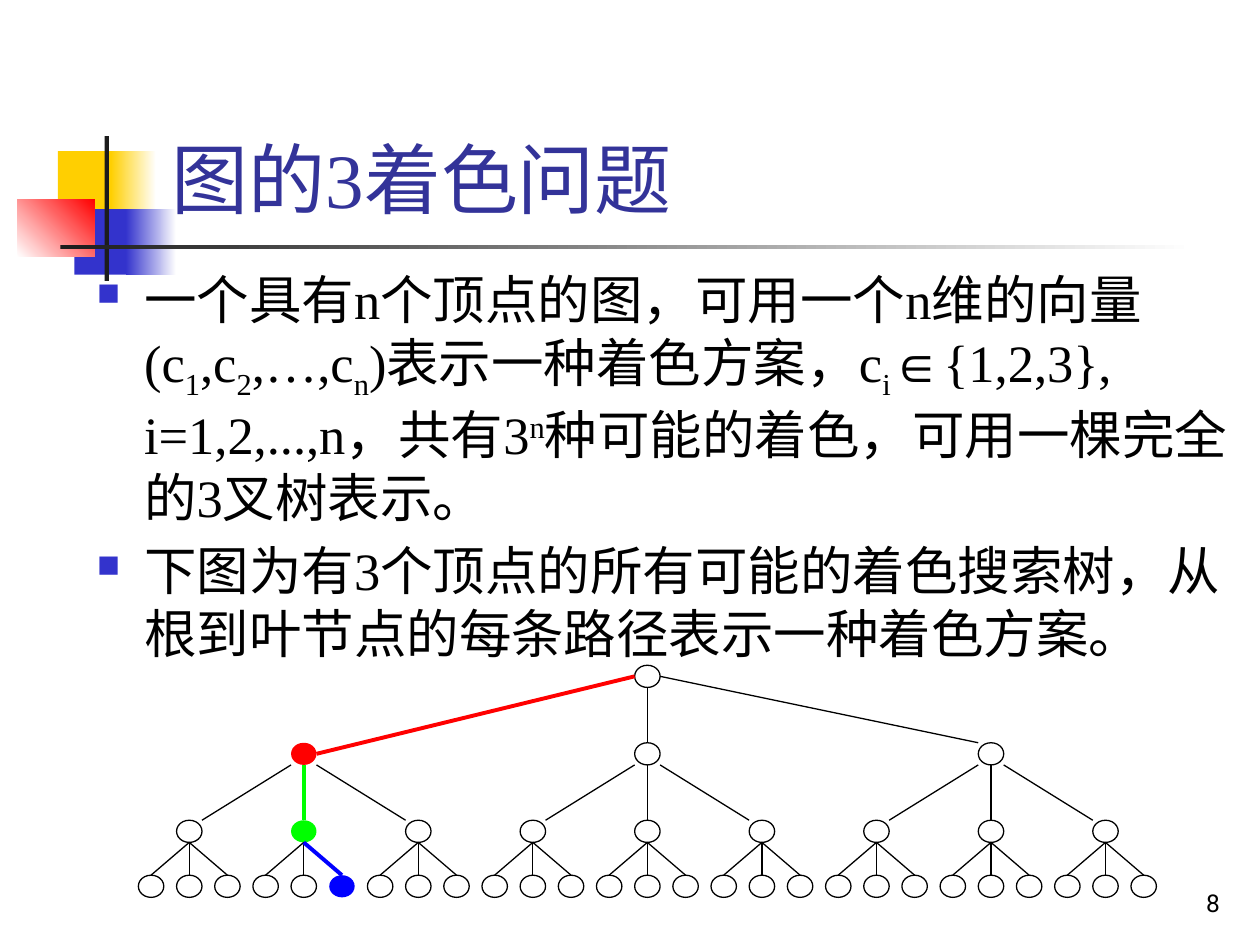
from dataclasses import dataclass
from itertools import product

from lxml.etree import SubElement
from pptx import Presentation
from pptx.dml.color import RGBColor
from pptx.enum.lang import MSO_LANGUAGE_ID
from pptx.enum.shapes import MSO_CONNECTOR, MSO_SHAPE
from pptx.enum.text import MSO_ANCHOR, MSO_AUTO_SIZE, PP_ALIGN
from pptx.oxml.ns import qn
from pptx.util import Inches, Pt


@dataclass(frozen=True)
class Theme:
    black: str = "000000"
    white: str = "FFFFFF"
    bar: str = "1C1C1C"
    yellow: str = "FFCF01"
    blue: str = "3333CC"
    red: str = "FF0000"
    title: str = "333399"
    route: tuple = ("FF0000", "00FF00", "0000FF")
    font: str = "Times New Roman"
    number_font: str = "Roboto"
    title_size: int = 44
    body_size: int = 30
    number_size: int = 14
    thin: float = 0.75
    thick: float = 2.25


class SlideBuilder:
    """Places elements on a grid of 100 columns by 75 rows."""

    COLUMNS, ROWS = 100, 75

    def __init__(self, presentation, theme):
        self.theme = theme
        self.width, self.height = presentation.slide_width, presentation.slide_height
        self.slide = presentation.slides.add_slide(presentation.slide_layouts[5])

    def x(self, columns):
        return round(self.width * columns / self.COLUMNS)

    def y(self, rows):
        return round(self.height * rows / self.ROWS)

    def box(self, left, top, width, height):
        return self.x(left), self.y(top), self.x(width), self.y(height)

    def shape(self, preset, place, fill, fade=None, angle=0, line=None):
        """Add a preset shape, filled evenly or fading from fill to fade."""
        shape = self.slide.shapes.add_shape(preset, *self.box(*place))
        shape.shadow.inherit = False
        if fade:
            shape.fill.gradient()
            shape.fill.gradient_angle = angle
            for stop, color in zip(shape.fill.gradient_stops, (fill, fade)):
                stop.color.rgb = RGBColor.from_string(color)
        else:
            shape.fill.solid()
            shape.fill.fore_color.rgb = RGBColor.from_string(fill)
        if line:
            shape.line.color.rgb = RGBColor.from_string(line)
            shape.line.width = Pt(self.theme.thin)
        else:
            shape.line.fill.background()

    def line(self, start, end, color, width):
        connector = self.slide.shapes.add_connector(
            MSO_CONNECTOR.STRAIGHT, self.x(start[0]), self.y(start[1]),
            self.x(end[0]), self.y(end[1]))
        connector.line.color.rgb = RGBColor.from_string(color)
        connector.line.width = Pt(width)
        SubElement(connector._element.spPr, qn("a:effectLst"))

    def run(self, paragraph, text, size, color, font=None, baseline=0):
        run = paragraph.add_run()
        run.text = text
        run.font.size = Pt(size)
        run.font.name = font or self.theme.font
        run.font.color.rgb = RGBColor.from_string(color)
        run.font.language_id = MSO_LANGUAGE_ID.SIMPLIFIED_CHINESE
        if baseline:
            run._r.get_or_add_rPr().set("baseline", str(baseline * 1000))

    def frame(self, shape, anchor):
        frame = shape.text_frame
        frame.word_wrap = True
        frame.auto_size = MSO_AUTO_SIZE.NONE
        frame.vertical_anchor = anchor
        return frame

    def title(self, text, place):
        title = self.slide.shapes.title
        title.left, title.top, title.width, title.height = self.box(*place)
        paragraph = self.frame(title, MSO_ANCHOR.BOTTOM).paragraphs[0]
        paragraph.alignment = PP_ALIGN.LEFT
        self.run(paragraph, text, self.theme.title_size, self.theme.title)

    def bullets(self, items, place):
        """Add bulleted paragraphs, each a list of (text, baseline) runs."""
        text_box = self.slide.shapes.add_textbox(*self.box(*place))
        frame = self.frame(text_box, MSO_ANCHOR.TOP)
        for index, item in enumerate(items):
            paragraph = frame.add_paragraph() if index else frame.paragraphs[0]
            paragraph.space_before = Pt(0.2 * self.theme.body_size)
            self.bullet(paragraph)
            for text, baseline in item:
                self.run(paragraph, text, self.theme.body_size, self.theme.black,
                         baseline=baseline)

    def bullet(self, paragraph):
        properties = paragraph._p.get_or_add_pPr()
        indent = self.x(3.75)
        properties.set("marL", str(indent))
        properties.set("indent", str(-indent))
        color = SubElement(properties, qn("a:buClr"))
        SubElement(color, qn("a:srgbClr"), val=self.theme.blue)
        SubElement(properties, qn("a:buSzPct"), val="60000")
        SubElement(properties, qn("a:buChar"), char="■")

    def page_number(self, text, place):
        text_box = self.slide.shapes.add_textbox(*self.box(*place))
        paragraph = self.frame(text_box, MSO_ANCHOR.BOTTOM).paragraphs[0]
        paragraph.alignment = PP_ALIGN.RIGHT
        self.run(paragraph, text, self.theme.number_size, self.theme.black,
                 self.theme.number_font)

    def ornament(self):
        theme, rectangle = self.theme, MSO_SHAPE.RECTANGLE
        for color, solid, faded in (
                (theme.yellow, (4.6, 12, 4.8, 5.2), (8.8, 12, 3.6, 5.2)),
                (theme.blue, (5.9, 16.6, 4.6, 5.2), (10, 16.6, 4, 5.2))):
            self.shape(rectangle, solid, color)
            self.shape(rectangle, faded, color, theme.white)
        self.shape(rectangle, (1.4, 15.8, 6.1, 4.6), theme.white, theme.red, 45)
        self.shape(rectangle, (8.3, 10.8, 0.35, 11.5), theme.bar)
        self.shape(rectangle, (4.8, 19.45, 90, 0.35), theme.bar, theme.white)

    def search_tree(self, route):
        """Draw the full ternary tree; route is the coloured path of child indexes."""
        theme = self.theme
        node_width, node_height, leaf_gap = 2.02, 1.76, 3.03
        root_column, tops = 51.38, (52.8, 58.95, 65.1, 69.46)

        def center(path):
            return root_column + sum(
                (child - 1) * leaf_gap * 3 ** (2 - level)
                for level, child in enumerate(path))

        for depth, top in enumerate(tops):
            for path in product(range(3), repeat=depth):
                chosen = depth > 0 and path == route[:depth]
                color = theme.route[depth - 1] if chosen else theme.black
                if depth:
                    side = path[-1] - 1
                    # Leaf edges meet the node centres, the others its sides.
                    shift = side * node_width / 2 if depth < 3 else 0
                    from_side = depth == 1 and side != 0
                    start_row = tops[depth - 1] + node_height * (0.5 if from_side else 1)
                    end_row = top + (node_height / 2 if from_side and chosen else 0)
                    self.line((center(path[:-1]) + shift, start_row),
                              (center(path) - shift, end_row),
                              color, theme.thick if chosen else theme.thin)
                self.shape(MSO_SHAPE.OVAL,
                           (center(path) - node_width / 2, top, node_width, node_height),
                           color if chosen else theme.white,
                           line=None if chosen else theme.black)


def main():
    presentation = Presentation()
    presentation.slide_width, presentation.slide_height = Inches(10), Inches(7.5)
    builder = SlideBuilder(presentation, Theme())
    subscript, superscript = -25, 30
    builder.ornament()
    builder.title("图的3着色问题", (12.6, 2.3, 85.2, 16))
    builder.bullets([
        [("一个具有n个顶点的图，可用一个n维的向量(c", 0), ("1", subscript),
         (",c", 0), ("2", subscript), (",…,c", 0), ("n", subscript),
         (")表示一种着色方案，c", 0), ("i", subscript),
         ("∈{1,2,3}, i=1,2,...,n，共有3", 0), ("n", superscript),
         ("种可能的着色，可用一棵完全的3叉树表示。", 0)],
        [("下图为有3个顶点的所有可能的着色搜索树，从根到叶节点的每条路径表示一种着色方案。", 0)],
    ], (6.7, 20.7, 93.1, 35))
    builder.search_tree(route=(0, 1, 2))
    builder.page_number("8", (77, 68.3, 20.8, 5))
    presentation.save("out.pptx")


if __name__ == "__main__":
    main()
